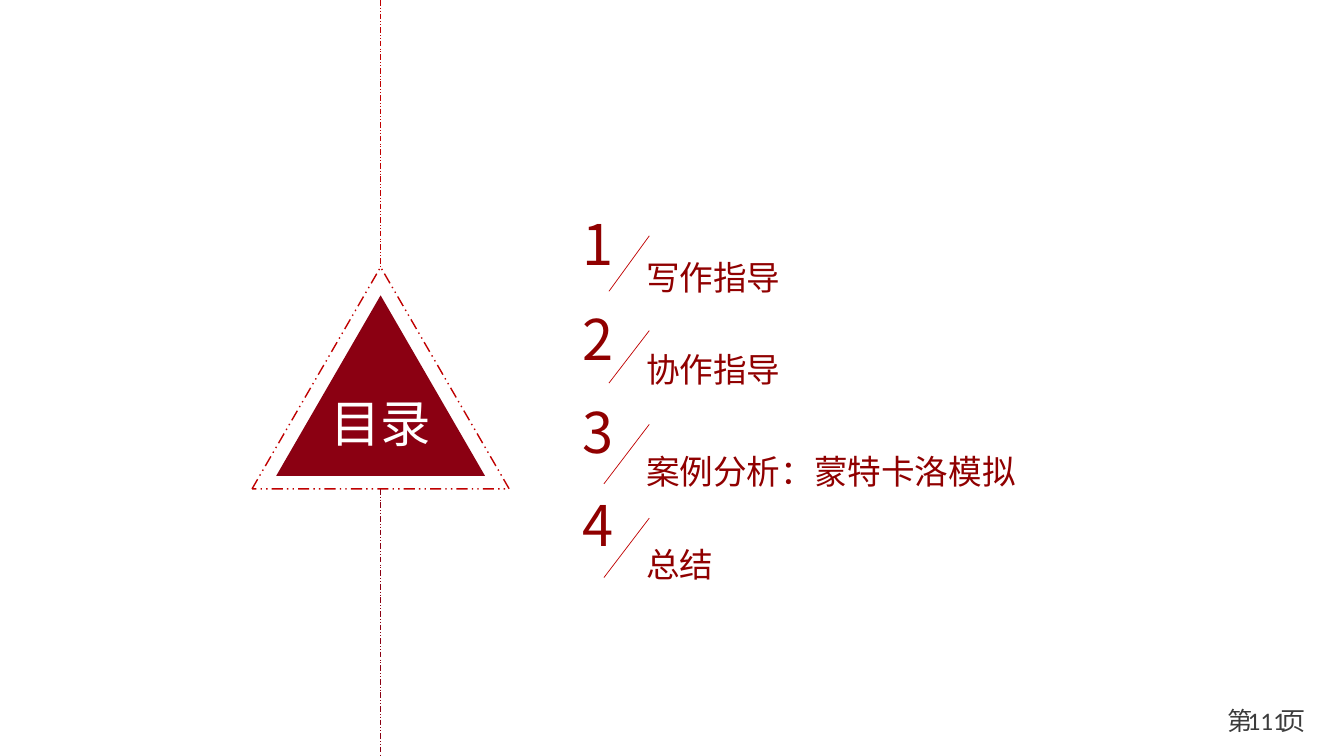
from lxml.etree import SubElement as add_element
from pptx import Presentation
from pptx.dml.color import RGBColor
from pptx.enum.dml import MSO_LINE as Dash
from pptx.enum.shapes import MSO_CONNECTOR as Connector, MSO_SHAPE as Shape
from pptx.enum.text import MSO_ANCHOR as Anchor, PP_ALIGN as Align
from pptx.oxml.ns import qn
from pptx.util import Inches, Pt

COLORS = {"wine": "8B0012", "line": "C00000", "entry": "900000",
          "page": "3C3C3C", "white": "FFFFFF"}
CJK_FONT = "Noto Sans CJK SC"
TITLE = {"size": Pt(36), "name": CJK_FONT, "bold": False}
NUMBER = {"size": Pt(40), "name": CJK_FONT}
ENTRY = {"size": Pt(24), "name": CJK_FONT}
PAGE = {"size": Pt(18), "name": "Calibri"}
ENTRIES = [
    ("写作指导", 2.03, 2.5, (6.44, 2.34, 6.04, 2.89)),
    ("协作指导", 2.97, 3.41, (6.44, 3.28, 6.04, 3.8)),
    ("案例分析：蒙特卡洛模拟", 3.89, 4.42, (6.44, 4.21, 5.99, 4.8)),
    ("总结", 4.82, 5.35, (6.44, 5.14, 5.99, 5.73)),
]


def color(name):
    return RGBColor.from_string(COLORS[name])


def write(box, text, font, tone, align=Align.LEFT, tab=None, **frame_format):
    frame = box.text_frame
    for name, value in frame_format.items():
        setattr(frame, name, value)
    para = frame.paragraphs[0]
    para.alignment = align
    if tab is not None:
        stops = add_element(para._p.get_or_add_pPr(), qn("a:tabLst"))
        add_element(stops, qn("a:tab"), pos=str(Inches(tab)), algn="l")
    span = para.add_run()
    span.text = text
    for name, value in font.items():
        setattr(span.font, name, value)
    span.font.color.rgb = color(tone)
    add_element(span._r.get_or_add_rPr(), qn("a:ea"), typeface=CJK_FONT)


def add_text(page, left, top, width, height, *content, **layout):
    box = page.shapes.add_textbox(*map(Inches, (left, top, width, height)))
    write(box, *content, word_wrap=True, **layout)


def style_line(line, tone, width, dash=None):
    line.color.rgb = color(tone)
    line.width = Pt(width)
    if dash is not None:
        line.dash_style = dash


def add_line(page, ends, tone, dash=None):
    link = page.shapes.add_connector(Connector.STRAIGHT, *map(Inches, ends))
    style_line(link.line, tone, 0.5, dash)
    add_element(link._element.spPr, qn("a:effectLst"))


def add_triangle(page, left, top, width, height):
    triangle = page.shapes.add_shape(
        Shape.ISOSCELES_TRIANGLE, *map(Inches, (left, top, width, height)))
    triangle.shadow.inherit = False
    return triangle


def add_emblem(page, left, top, width, height):
    inner_left, inner_top = left + 0.24, top + 0.28
    inner_width, inner_height = width - 0.48, height - 0.41
    inner = add_triangle(page, inner_left, inner_top, inner_width, inner_height)
    inner.fill.solid()
    inner.fill.fore_color.rgb = color("wine")
    inner.line.fill.background()
    outer = add_triangle(page, left, top, width, height)
    outer.fill.background()
    style_line(outer.line, "line", 1, Dash.DASH_DOT_DOT)

    middle = left + width / 2
    for start, end, tone in ((0, top, "line"), (top + height, 7.5, "wine")):
        add_line(page, (middle, start, middle, end), tone, Dash.DASH_DOT_DOT)

    title = page.shapes.title
    place = {"left": inner_left + inner_width / 4,
             "top": inner_top + inner_height / 2,
             "width": inner_width / 2, "height": inner_height / 2}
    for name, value in place.items():
        setattr(title, name, Inches(value))
    write(title, "目录", TITLE, "white", Align.CENTER, word_wrap=False,
          vertical_anchor=Anchor.MIDDLE, margin_left=0, margin_right=0,
          margin_top=0, margin_bottom=Inches(0.16))
    page.shapes._spTree.append(title._element)


def add_contents(page, left):
    for number, (text, number_top, text_top, slash) in enumerate(ENTRIES, 1):
        add_text(page, left, number_top, 0.42, 0.77, str(number), NUMBER, "entry")
        add_line(page, slash, "line")
        add_text(page, left + 0.63, text_top, 4.64, 0.5, text, ENTRY, "entry")


def add_page_number(page, left, top, width, height):
    add_text(page, left, top, width, height, "第\t页", PAGE, "page", tab=0.53,
             vertical_anchor=Anchor.MIDDLE, margin_left=Inches(0.69),
             margin_right=Inches(0.05))
    add_text(page, left + 0.3, top, width, height, "111", PAGE, "page",
             Align.CENTER, vertical_anchor=Anchor.MIDDLE)


def main():
    deck = Presentation()
    deck.slide_width, deck.slide_height = Inches(13.33), Inches(7.5)
    page = deck.slides.add_slide(deck.slide_layouts[5])
    add_emblem(page, 2.5, 2.65, 2.55, 2.2)
    add_contents(page, 5.68)
    add_page_number(page, 11.48, 6.95, 1.57, 0.4)
    deck.save("out.pptx")


if __name__ == "__main__":
    main()
